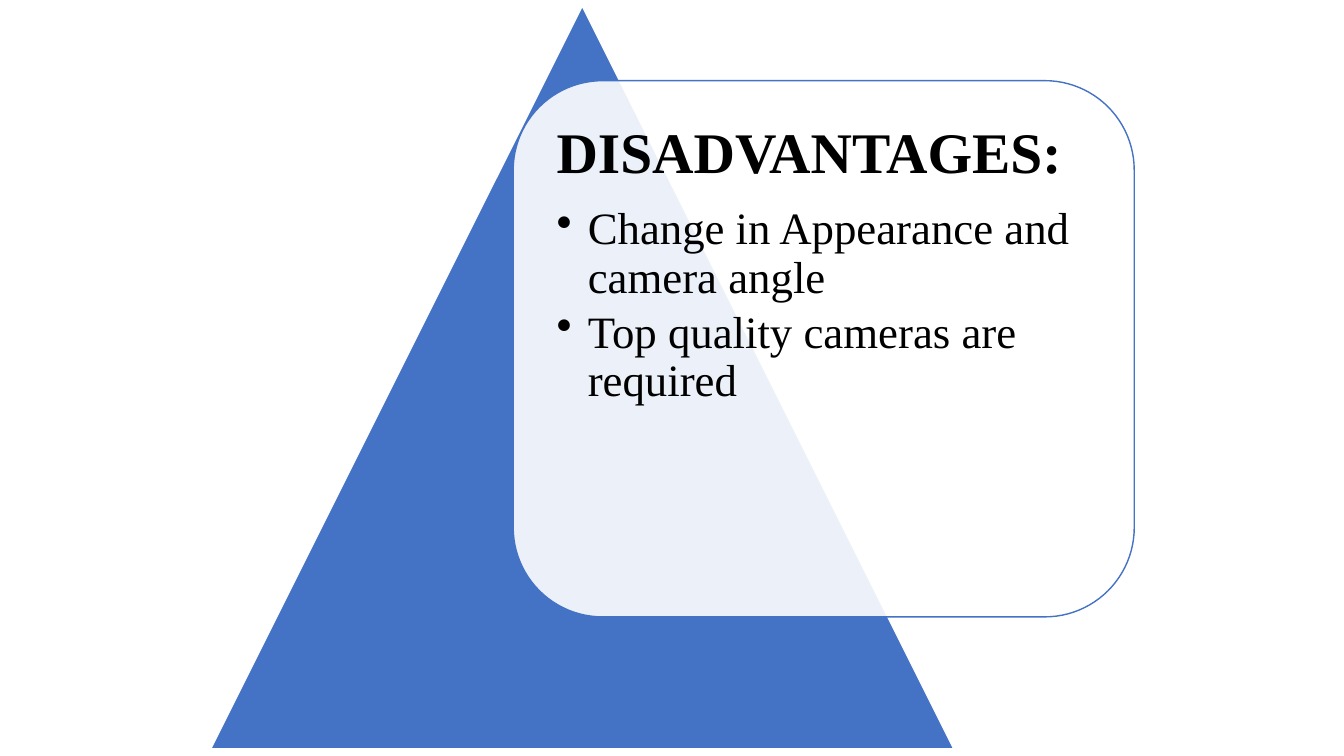
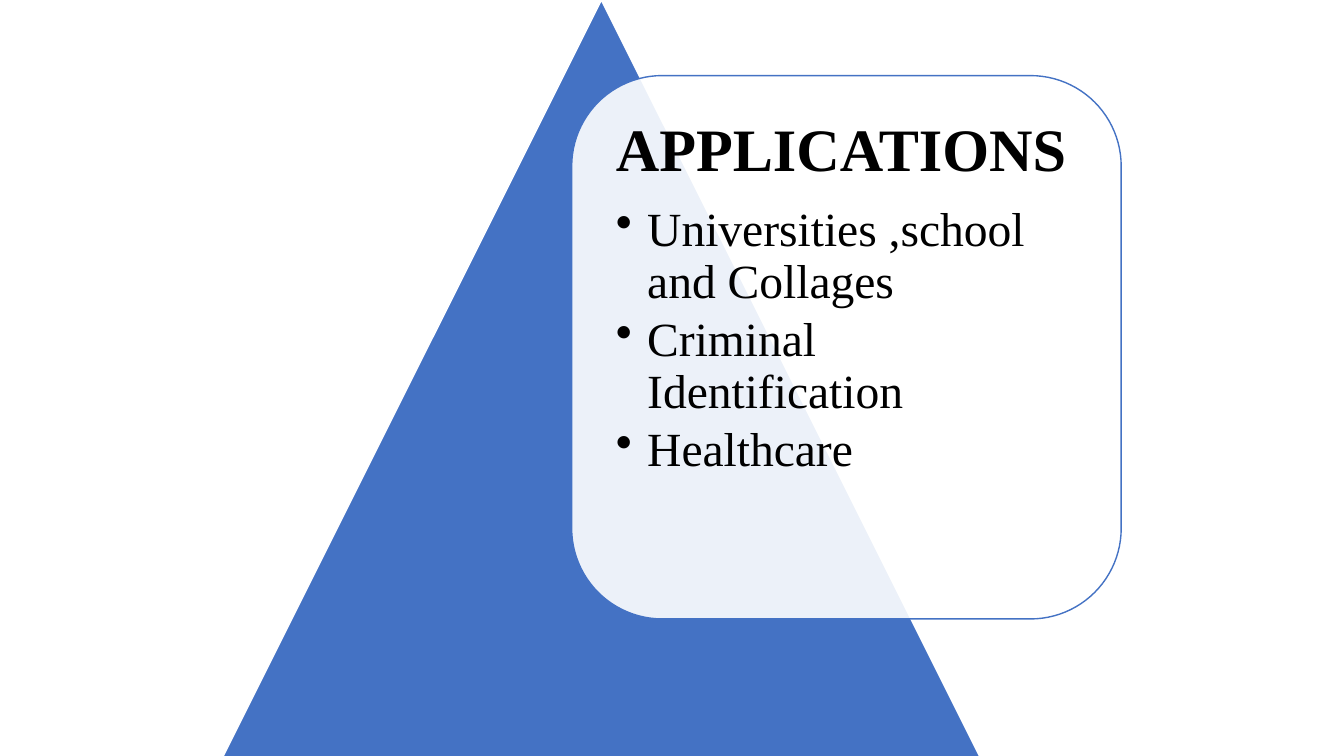
from dataclasses import dataclass

from lxml import etree
from pptx import Presentation
from pptx.dml.color import RGBColor
from pptx.enum.shapes import MSO_SHAPE
from pptx.enum.text import MSO_ANCHOR, PP_ALIGN
from pptx.oxml.ns import qn
from pptx.util import Inches, Pt

TRIANGLE = MSO_SHAPE.ISOSCELES_TRIANGLE
ROUNDED = MSO_SHAPE.ROUNDED_RECTANGLE
TOP = MSO_ANCHOR.TOP
LEFT = PP_ALIGN.LEFT
BLANK_LAYOUT = 6


@dataclass(frozen=True)
class Theme:
    blue: RGBColor = RGBColor(0x44, 0x72, 0xC4)
    white: RGBColor = RGBColor(0xFF, 0xFF, 0xFF)
    black: RGBColor = RGBColor(0x00, 0x00, 0x00)
    font: str = "Times New Roman"
    outline: float = 1
    card_opacity: int = 90
    card_inset: float = 0.26
    bullet_indent: float = 0.31
    line_spacing: float = 0.9
    heading_gap: float = 0.35
    item_gap: float = 0.15


class PyramidDeck:
    def __init__(self, theme):
        self.theme = theme
        self.deck = Presentation()
        self.deck.slide_width = Inches(13.33)
        self.deck.slide_height = Inches(7.5)
        self.page = None

    def add_page(self):
        layout = self.deck.slide_layouts[BLANK_LAYOUT]
        self.page = self.deck.slides.add_slide(layout)

    def add_shape(self, kind, bounds, fill, line):
        shape = self.page.shapes.add_shape(kind, *map(Inches, bounds))
        shape.shadow.inherit = False
        shape.fill.solid()
        shape.fill.fore_color.rgb = fill
        shape.line.color.rgb = line
        shape.line.width = Pt(self.theme.outline)
        return shape

    def add_pyramid(self, left, top, side):
        bounds = (left, top, side, side)
        self.add_shape(TRIANGLE, bounds, self.theme.blue, self.theme.white)

    def add_card(self, bounds):
        card = self.add_shape(ROUNDED, bounds, self.theme.white, self.theme.blue)
        color = card.fill._xPr.find(qn("a:solidFill")).find(qn("a:srgbClr"))
        alpha = etree.SubElement(color, qn("a:alpha"))
        alpha.set("val", str(self.theme.card_opacity * 1000))

    def add_card_text(self, bounds, margin, heading, heading_size, items, item_size):
        left, top, width, height = bounds
        inset = self.theme.card_inset
        box = self.page.shapes.add_textbox(
            Inches(left + inset), Inches(top + inset),
            Inches(width - 2 * inset), Inches(height - 2 * inset))
        frame = box.text_frame
        frame.word_wrap = True
        frame.vertical_anchor = TOP
        frame.margin_left = frame.margin_right = Inches(margin)
        frame.margin_top = frame.margin_bottom = Inches(margin)
        frame.text = "\n".join([heading, *items])
        title, *bullets = frame.paragraphs
        self.style_paragraph(title, heading_size, self.theme.heading_gap, True)
        for para in bullets:
            self.add_bullet(para)
            self.style_paragraph(para, item_size, self.theme.item_gap, False)

    def add_bullet(self, para):
        para.level = 1
        indent = Inches(self.theme.bullet_indent)
        properties = para._p.get_or_add_pPr()
        properties.set("marL", str(indent))
        properties.set("indent", str(-indent))
        etree.SubElement(properties, qn("a:buChar")).set("char", "•")

    def style_paragraph(self, para, size, gap, bold):
        para.alignment = LEFT
        para.line_spacing = self.theme.line_spacing
        para.space_before = Pt(0)
        para.space_after = Pt(round(size * gap, 1))
        for span in para.runs:
            span.font.name = self.theme.font
            span.font.size = Pt(size)
            span.font.bold = bold
            span.font.color.rgb = self.theme.black

    def save(self):
        self.deck.save("out.pptx")


def main():
    deck = PyramidDeck(Theme())

    deck.add_page()
    card = (5.09, 0.8, 6.16, 5.32)
    deck.add_pyramid(2.09, 0.06, 7.37)
    deck.add_card(card)
    deck.add_card_text(card, 0.17, "DISADVANTAGES:", 41, [
        "Change in Appearance and camera angle",
        "Top quality cameras are required",
    ], 32)

    deck.add_page()
    card = (5.67, 0.75, 5.45, 5.39)
    deck.add_pyramid(2.21, 0, 7.51)
    deck.add_card(card)
    deck.add_card_text(card, 0.18, "APPLICATIONS", 43, [
        "Universities ,school and Collages",
        "Criminal Identification",
        "Healthcare",
    ], 34)

    deck.save()


if __name__ == "__main__":
    main()
